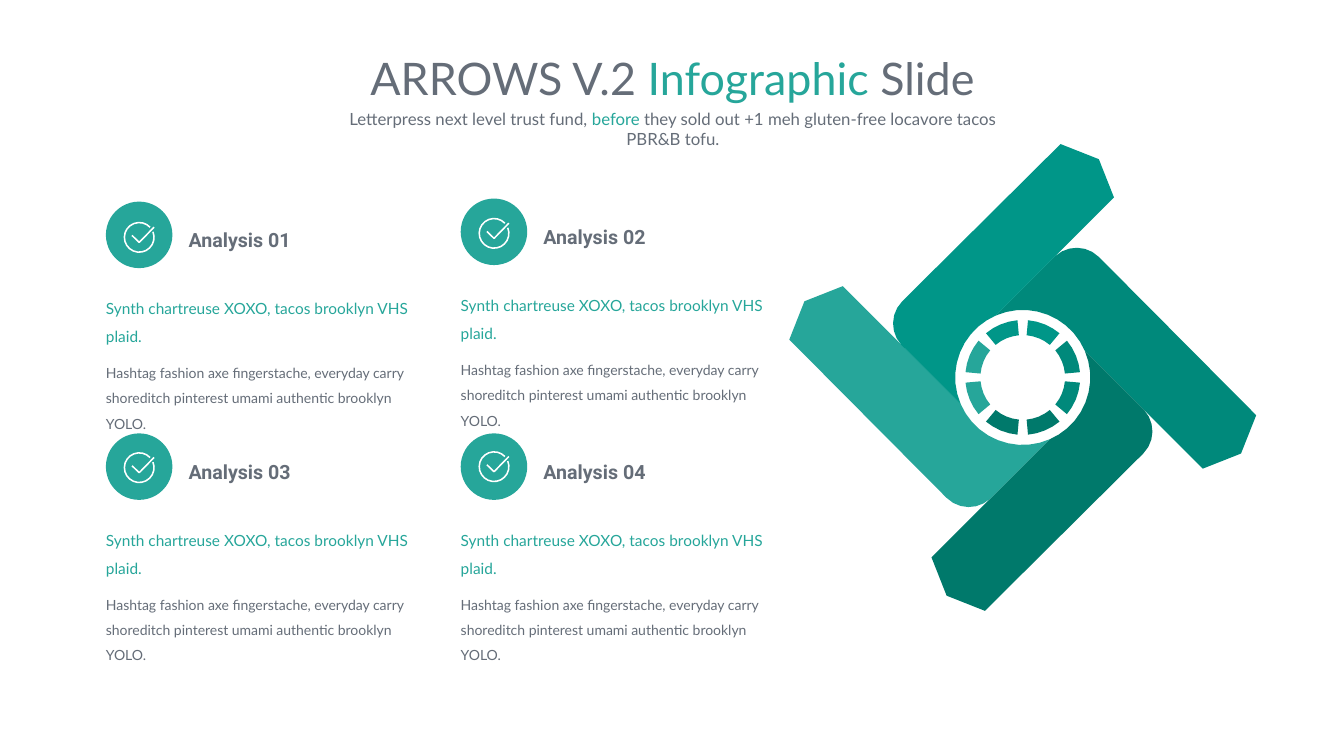
"""Build the arrow infographic slide with four analysis cards."""
from math import cos, radians, sin

from pptx import Presentation
from pptx.dml.color import RGBColor
from pptx.enum.shapes import MSO_SHAPE
from pptx.enum.text import MSO_ANCHOR, MSO_AUTO_SIZE, PP_ALIGN
from pptx.util import Inches, Pt

COLORS = {
    "grey": "656D78",
    "accent": "26A69A",
    "right": "00897B",
    "bottom": "00796B",
    "left": "26A69A",
    "top": "009688",
    "white": "FFFFFF",
}
SIDES = ("right", "bottom", "left", "top")
HUB = (76.1, 49.93)
CARDS = (
    ("Analysis 01", 7.88, 26.67, 0.33),
    ("Analysis 02", 34.28, 26.27, 0.2),
    ("Analysis 03", 7.88, 57.33, 0.13),
    ("Analysis 04", 34.28, 57.33, 0),
)
LEAD = "Synth chartreuse XOXO, tacos brooklyn VHS plaid."
DETAIL = ("Hashtag fashion axe fingerstache, everyday carry shoreditch "
          "pinterest umami authentic brooklyn YOLO.")


def rgb(color):
    return RGBColor.from_string(COLORS[color])


def write(paragraph, *parts, size, font="Lato", bold=False, align=PP_ALIGN.LEFT,
          spacing=1.0, before=0):
    paragraph.alignment = align
    paragraph.line_spacing = spacing
    paragraph.space_before = Pt(before)
    for words, color in parts:
        run = paragraph.add_run()
        run.text = words
        run.font.name = font
        run.font.size = Pt(size)
        run.font.bold = bold
        run.font.color.rgb = rgb(color)


def arc(radius, start, end, steps):
    angles = [radians(start + (end - start) * i / steps) for i in range(steps + 1)]
    return [(radius * cos(a), radius * sin(a)) for a in angles]


def bezier(a, b, c, d, steps=6):
    curve = []
    for i in range(steps + 1):
        t = i / steps
        weights = ((1 - t) ** 3, 3 * t * (1 - t) ** 2, 3 * t * t * (1 - t), t ** 3)
        curve.append(tuple(sum(w * p[axis] for w, p in zip(weights, (a, b, c, d)))
                           for axis in (0, 1)))
    return curve


def quarter_turns(points, count):
    for _ in range(count):
        points = [(-y, x) for x, y in points]
    return points


class InfographicSlide:
    """Places elements by percent of the slide; outlines use percent of height."""

    def __init__(self, deck):
        self.width, self.height = deck.slide_width, deck.slide_height
        self.slide = deck.slides.add_slide(deck.slide_layouts[5])
        self.shapes = self.slide.shapes

    def box(self, left, top, width, height):
        return (round(left * self.width / 100), round(top * self.height / 100),
                round(width * self.width / 100), round(height * self.height / 100))

    def frame(self, holder, margin=None, anchor=MSO_ANCHOR.TOP, grow=True):
        frame = holder.text_frame
        frame.word_wrap = True
        frame.auto_size = MSO_AUTO_SIZE.SHAPE_TO_FIT_TEXT if grow else MSO_AUTO_SIZE.NONE
        frame.vertical_anchor = anchor
        if margin is not None:
            frame.margin_left = frame.margin_right = margin
            frame.margin_top = frame.margin_bottom = margin
        return frame

    def title(self, place, *parts, size):
        heading = self.shapes.title
        heading.left, heading.top, heading.width, heading.height = self.box(*place)
        write(self.frame(heading).paragraphs[0], *parts, size=size, align=PP_ALIGN.CENTER)

    def text(self, place, **layout):
        return self.frame(self.shapes.add_textbox(*self.box(*place)), **layout)

    def disc(self, left, top, diameter):
        x, y, _, side = self.box(left, top, 0, diameter)
        disc = self.shapes.add_shape(MSO_SHAPE.ROUNDED_RECTANGLE, x, y, side, side)
        disc.adjustments[0] = 0.5
        self.paint(disc, "accent")

    def paint(self, shape, color):
        shape.shadow.inherit = False
        shape.fill.solid()
        shape.fill.fore_color.rgb = rgb(color)
        shape.line.fill.background()

    def outline(self, center, *contours, close=True):
        cx, cy, _, _ = self.box(*center, 0, 0)
        unit = self.height / 100
        builder = None
        for contour in contours:
            start, *rest = [(round(cx + x * unit), round(cy + y * unit))
                            for x, y in contour]
            if builder is None:
                builder = self.shapes.build_freeform(*start, scale=1.0)
            else:
                builder.move_to(*start)
            builder.add_line_segments(rest, close=close)
        return builder.convert_to_shape()

    def check(self, center):
        ring = arc(1.96, -22, 317, steps=20)
        tick = [(-0.95, -0.25), (0, 0.67), (1.96, -1.35)]
        check = self.outline(center, ring, tick, close=False)
        check.shadow.inherit = False
        check.fill.background()
        check.line.color.rgb = rgb("white")
        check.line.width = Pt(1.1)

    def card(self, name, left, top, check_drop):
        self.disc(left, top, 8.8)
        label = self.text((left + 6.15, top + 2.67, 14.48, 3.73), margin=0,
                          anchor=MSO_ANCHOR.MIDDLE)
        write(label.paragraphs[0], (name, "grey"), size=14, font="Roboto",
              bold=True, spacing=1.3)
        body = self.text((left, top + 11.73, 23.2, 11.6), margin=0, grow=False)
        write(body.paragraphs[0], (LEAD, "accent"), size=11, spacing=1.5)
        write(body.add_paragraph(), (DETAIL, "grey"), size=10, spacing=1.5, before=7.5)
        self.check((left + 2.48, top + 4.4 + check_drop))

    def pinwheel(self):
        blade = [(30.87, 5), (28.87, 10.07), (23.8, 12.07),
                 *arc(8.93, -23.3, -113.3, steps=10),
                 *bezier((4.33, -16.07), (5.93, -17.53), (8.47, -17.53), (10.07, -15.93))]
        for turns, side in enumerate(SIDES):
            self.paint(self.outline(HUB, quarter_turns(blade, turns)), side)
        for segment in range(8):
            middle = 45 * segment + 22.5
            start, end = middle - 17.25, middle + 17.25
            band = arc(7.6, start, end, steps=4) + arc(5.6, end, start, steps=4)
            self.paint(self.outline(HUB, band), SIDES[(segment + 1) // 2 % 4])


def main():
    deck = Presentation()
    deck.slide_width, deck.slide_height = Inches(13.33), Inches(7.5)
    page = InfographicSlide(deck)
    page.title((19.05, 6, 61.97, 8.53), ("ARROWS V.2 ", "grey"),
               ("Infographic ", "accent"), ("Slide", "grey"), size=32)
    subtitle = page.text((24, 13.73, 52.14, 4))
    write(subtitle.paragraphs[0], ("Letterpress next level trust fund, ", "grey"),
          ("before", "accent"),
          (" they sold out +1 meh gluten-free locavore tacos PBR&B tofu.", "grey"),
          size=12, align=PP_ALIGN.CENTER)
    page.pinwheel()
    for card in CARDS:
        page.card(*card)
    deck.save("out.pptx")


if __name__ == "__main__":
    main()
